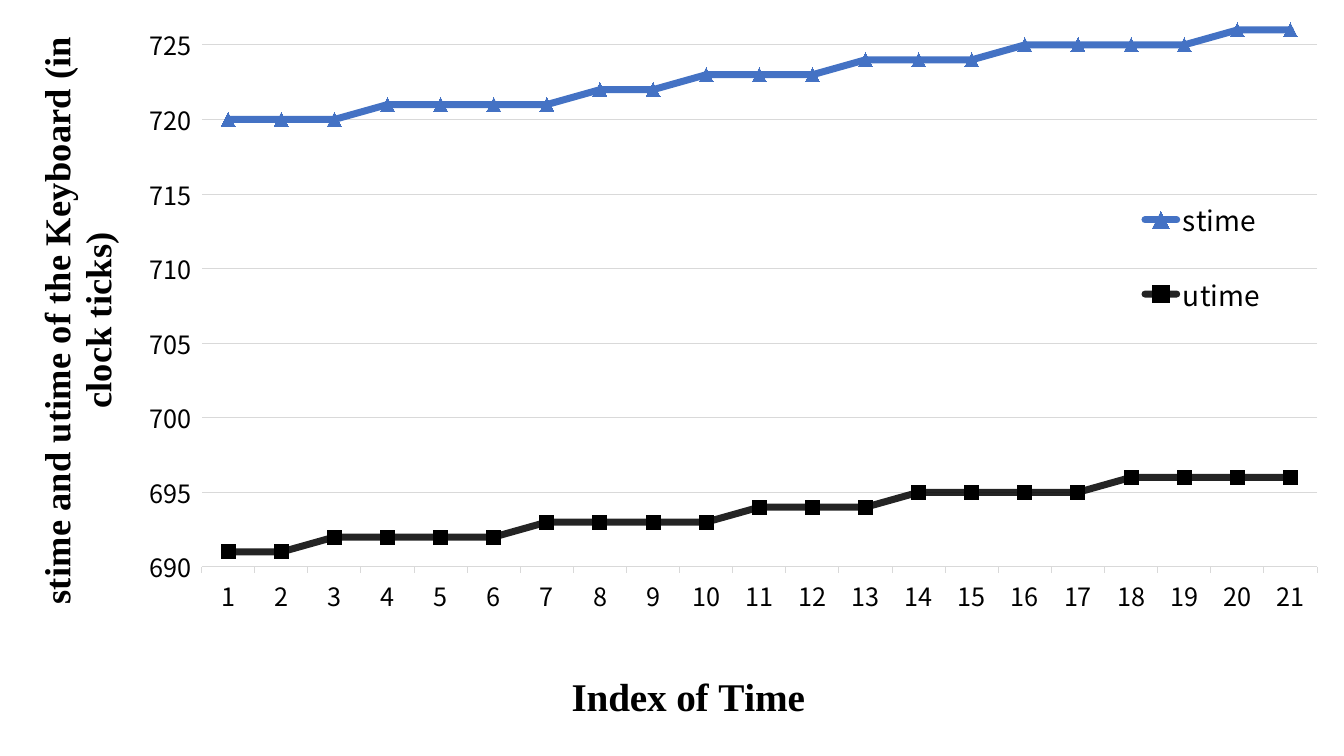
from dataclasses import dataclass

from lxml import etree
from pptx import Presentation
from pptx.chart.data import CategoryChartData
from pptx.dml.color import RGBColor
from pptx.enum.chart import (XL_CHART_TYPE, XL_LEGEND_POSITION,
                             XL_MARKER_STYLE, XL_TICK_MARK)
from pptx.oxml.ns import qn
from pptx.util import Inches, Pt

LINE_MARKERS = XL_CHART_TYPE.LINE_MARKERS
LEGEND_BOTTOM = XL_LEGEND_POSITION.BOTTOM
TRIANGLE, SQUARE = XL_MARKER_STYLE.TRIANGLE, XL_MARKER_STYLE.SQUARE
TICK_OUTSIDE = XL_TICK_MARK.OUTSIDE


@dataclass(frozen=True)
class Theme:
    black: RGBColor = RGBColor(0, 0, 0)
    blue: RGBColor = RGBColor(0x44, 0x72, 0xC4)
    grid: RGBColor = RGBColor(0xD9, 0xD9, 0xD9)
    body_font: str = "Noto Sans CJK SC"
    title_font: str = "Times New Roman"
    base_size: int = 10
    tick_size: int = 18
    legend_size: int = 20
    value_title_size: int = 26
    index_title_size: int = 28
    grid_width: float = 0.75
    series_width: int = 5
    marker_size: int = 10


THEME = Theme()
STIME = [720] * 3 + [721] * 4 + [722] * 2 + [723] * 3 + [724] * 3 + [725] * 4 + [726] * 2
UTIME = [691] * 2 + [692] * 4 + [693] * 4 + [694] * 3 + [695] * 4 + [696] * 4

# Fractions of the chart area
PLOT_PLACE = {"x": 0.15, "y": 0.02, "w": 0.83, "h": 0.73}
LEGEND_PLACE = {"x": 0.84, "y": 0.22, "w": 0.11, "h": 0.24}
INDEX_TITLE_PLACE = {"x": 0.42, "y": 0.88}
VALUE_TITLE_PLACE = {"x": 0.02, "y": 0.04}


def set_font(font, size, name=THEME.body_font, bold=False):
    values = {"size": Pt(size), "name": name, "bold": bold}
    for key, value in values.items():
        setattr(font, key, value)
    font.color.rgb = THEME.black


def place(part, position, after=None):
    """Give a chart part a manual layout, following the child named after."""
    for old in part.findall(qn("c:layout")):
        part.remove(old)
    layout = etree.Element(qn("c:layout"))
    manual = etree.SubElement(layout, qn("c:manualLayout"))
    settings = {"xMode": "edge", "yMode": "edge", **position}
    if after is None:
        settings = {"layoutTarget": "inner", **settings}
    for tag, value in settings.items():
        etree.SubElement(manual, qn(f"c:{tag}")).set("val", str(value))
    index = 0 if after is None else part.index(part.find(qn(after))) + 1
    part.insert(index, layout)


def add_line_chart(page, width, height):
    data = CategoryChartData()
    data.categories = [str(index) for index in range(1, len(STIME) + 1)]
    data.add_series("stime", STIME)
    data.add_series("utime", UTIME)
    frame = page.shapes.add_chart(LINE_MARKERS, 0, 0, width, height, data)
    chart = frame.chart
    chart.has_title = False
    set_font(chart.font, THEME.base_size)
    chart.plots[0].vary_by_categories = False
    place(chart.plots[0]._element.getparent(), PLOT_PLACE)
    return chart


def style_series(series, color, marker_style, opacity=None):
    series.smooth = False
    line = series.format.line
    line.width = Pt(THEME.series_width)
    line.color.rgb = color
    outline = series._element.find(f"{qn('c:spPr')}/{qn('a:ln')}")
    outline.set("cap", "rnd")
    if opacity is not None:
        paint = outline.find(f".//{qn('a:srgbClr')}")
        etree.SubElement(paint, qn("a:alpha")).set("val", str(opacity * 1000))
    marker = series.marker
    marker.style, marker.size = marker_style, THEME.marker_size
    marker.format.fill.solid()
    marker.format.fill.fore_color.rgb = color
    marker.format.line.color.rgb = color


def style_axis(axis, title, title_size, position):
    axis.major_tick_mark = TICK_OUTSIDE
    set_font(axis.tick_labels.font, THEME.tick_size)
    span = axis.axis_title.text_frame.paragraphs[0].add_run()
    span.text = title
    set_font(span.font, title_size, THEME.title_font, bold=True)
    place(axis.axis_title._element, position, after="c:tx")


def style_grid_line(line):
    line.color.rgb = THEME.grid
    line.width = Pt(THEME.grid_width)


def add_legend(chart):
    chart.has_legend = True
    legend = chart.legend
    legend.position = LEGEND_BOTTOM
    legend.include_in_layout = False
    set_font(legend.font, THEME.legend_size)
    place(legend._element, LEGEND_PLACE, after="c:legendPos")


def main():
    deck = Presentation()
    deck.slide_width, deck.slide_height = Inches(13.33), Inches(7.5)
    page = deck.slides.add_slide(deck.slide_layouts[6])
    chart = add_line_chart(page, deck.slide_width, deck.slide_height)

    # Series
    stime, utime = chart.plots[0].series
    style_series(stime, THEME.blue, TRIANGLE)
    style_series(utime, THEME.black, SQUARE, opacity=86)

    # Axes
    index_axis, value_axis = chart.category_axis, chart.value_axis
    style_axis(index_axis, "Index of Time", THEME.index_title_size, INDEX_TITLE_PLACE)
    style_axis(value_axis, "stime and utime of the Keyboard (in clock ticks)",
               THEME.value_title_size, VALUE_TITLE_PLACE)
    scale = {"minimum_scale": 690, "maximum_scale": 727, "major_unit": 5}
    for key, value in scale.items():
        setattr(value_axis, key, value)
    value_axis.format.line.fill.background()
    style_grid_line(index_axis.format.line)
    style_grid_line(value_axis.major_gridlines.format.line)

    # Legend
    add_legend(chart)
    deck.save("out.pptx")


main()
